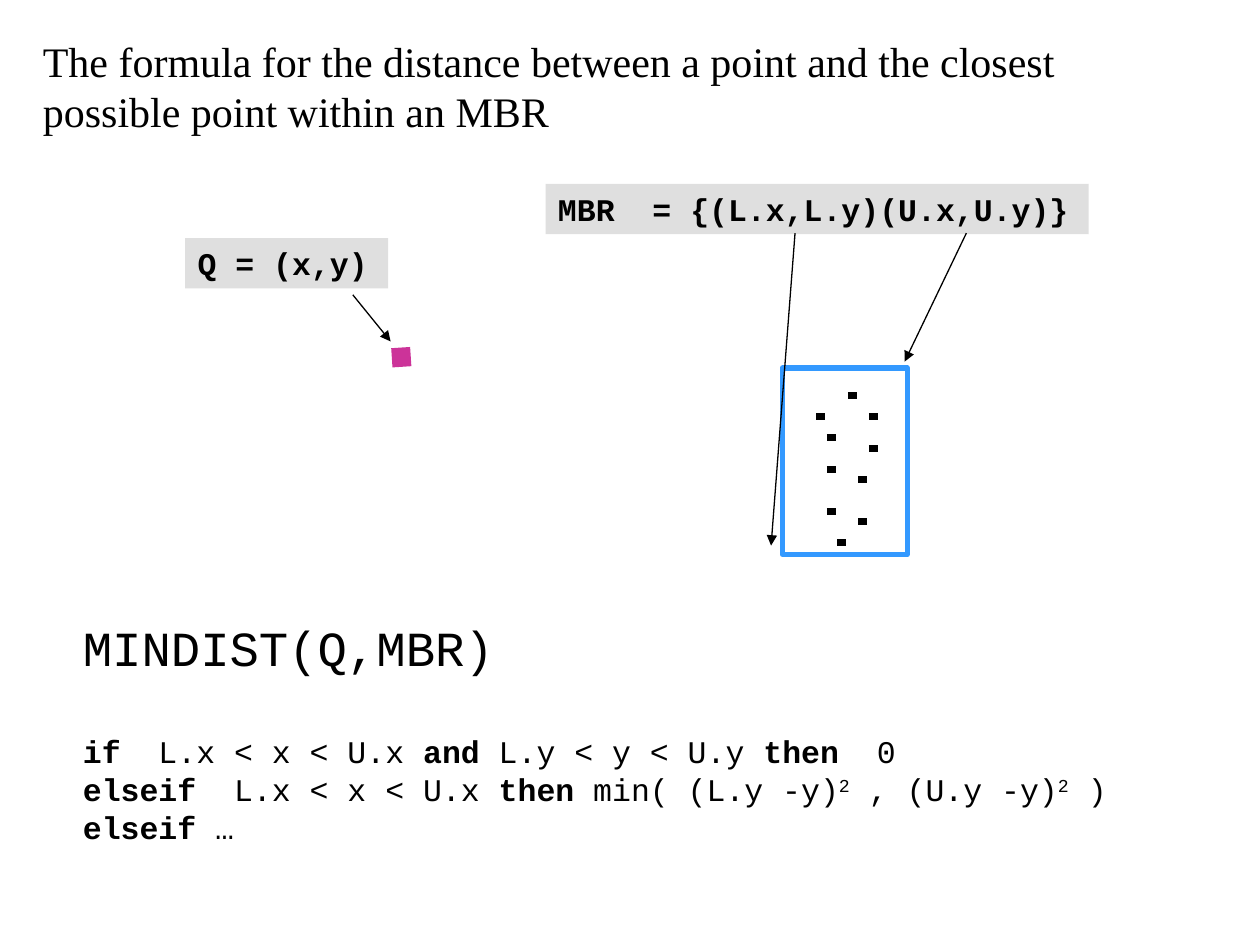
import pptx
import pptx.util
import pptx.dml.color
import pptx.enum.shapes
import pptx.enum.text
import pptx.oxml
import pptx.oxml.ns
import lxml.etree
from dataclasses import dataclass


@dataclass
class Theme:
    serif: str = "Times New Roman"
    mono: str = "Courier New"
    ink: str = "000000"
    blue: str = "3399FF"
    pink: str = "CC3399"
    gray: str = "C0C0C0"
    title: int = 24
    head: int = 28
    code: int = 18


class Board:
    """Draws styled elements on a slide, measured on a grid of 100 columns by 75 rows."""

    def __init__(self, deck, theme):
        self.theme = theme
        self.cell = deck.slide_width / 100
        self.slide = deck.slides.add_slide(deck.slide_layouts[5])

    def grid(self, *vals):
        return [round(v * self.cell) for v in vals]

    def tint(self, name):
        return pptx.dml.color.RGBColor.from_string(name)

    def sub(self, node, tag, **attrs):
        return lxml.etree.SubElement(node, pptx.oxml.ns.qn(tag), attrs)

    def type(self, para, face, size, bold=None):
        font = para.font
        font.name, font.size, font.bold = face, pptx.util.Pt(size), bold
        font.color.rgb = self.tint(self.theme.ink)

    def title(self, text, *area):
        shape = self.slide.shapes.title
        shape.left, shape.top, shape.width, shape.height = self.grid(*area)
        frame = shape.text_frame
        frame.text = text
        frame.word_wrap = True
        frame.auto_size = pptx.enum.text.MSO_AUTO_SIZE.NONE
        frame.vertical_anchor = pptx.enum.text.MSO_ANCHOR.TOP
        para = frame.paragraphs[0]
        para.alignment = pptx.enum.text.PP_ALIGN.LEFT
        self.type(para, self.theme.serif, self.theme.title)

    def rect(self, *area):
        kind = pptx.enum.shapes.MSO_SHAPE.RECTANGLE
        shape = self.slide.shapes.add_shape(kind, *self.grid(*area))
        shape.shadow.inherit = False
        return shape

    def frame(self, *area):
        shape = self.rect(*area)
        shape.fill.background()
        shape.line.color.rgb = self.tint(self.theme.blue)
        shape.line.width = pptx.util.Pt(3)

    def label(self, text, *area):
        shape = self.rect(*area)
        shape.line.fill.background()
        shape.fill.solid()
        shape.fill.fore_color.rgb = self.tint(self.theme.gray)
        color = shape.element.spPr.find(".//" + pptx.oxml.ns.qn("a:srgbClr"))
        self.sub(color, "a:alpha", val="50000")
        shape.text_frame.word_wrap = False
        shape.text_frame.text = text
        para = shape.text_frame.paragraphs[0]
        para.alignment = pptx.enum.text.PP_ALIGN.LEFT
        self.type(para, self.theme.mono, self.theme.code, True)

    def line(self, start, end, color, width, arrow=False):
        kind = pptx.enum.shapes.MSO_CONNECTOR.STRAIGHT
        line = self.slide.shapes.add_connector(kind, *self.grid(*start, *end))
        line.line.color.rgb = self.tint(color)
        line.line.width = pptx.util.Pt(width)
        props = line.element.spPr
        if arrow:
            self.sub(props.find(pptx.oxml.ns.qn("a:ln")), "a:tailEnd", type="triangle")
        self.sub(props, "a:effectLst")

    def arrow(self, start, end):
        self.line(start, end, self.theme.ink, 0.75, True)

    def code(self, head, lines, *area):
        frame = self.slide.shapes.add_textbox(*self.grid(*area)).text_frame
        frame.word_wrap = True
        frame.text = head
        self.type(frame.paragraphs[0], self.theme.mono, self.theme.head)
        for row, parts in enumerate(lines):
            para = frame.add_paragraph()
            if row == 0:
                para.space_before = pptx.util.Pt(32)
            self.type(para, self.theme.mono, self.theme.code)
            for text, style in parts:
                run = para.add_run()
                run.text = text
                if style == "bold":
                    run.font.bold = True
                elif style == "super":
                    run._r.get_or_add_rPr().set("baseline", "30000")


DOTS = [(2, 14), (1, 11), (4, 8), (1, 7), (5, 5),
        (0, 2), (5, 2), (1, 4), (3, 0), (4, 12)]

CODE = [
    [("if  ", "bold"), ("L.x < x < U.x ", ""), ("and ", "bold"),
     ("L.y < y < U.y ", ""), ("then", "bold"), ("  0", "")],
    [("elseif  ", "bold"), ("L.x < x < U.x ", ""), ("then", "bold"),
     (" min( (L.y -y)", ""), ("2", "super"), (" , (U.y -y)", ""),
     ("2", "super"), (" )", "")],
    [("elseif ", "bold"), ("…", "")],
]


def main():
    deck = pptx.Presentation()
    deck.slide_width = pptx.util.Inches(10)
    deck.slide_height = pptx.util.Inches(7.5)
    theme = Theme()
    board = Board(deck, theme)
    board.title("The formula for the distance between a point and the closest "
                "possible point within an MBR", 2.4, 2.3, 91.6, 9)
    step = 10 / 12
    for col, row in DOTS:
        x, y = 64.8 + col * step, 31.4 + row * step
        board.line((x, y), (x + 0.7, y), theme.ink, 4)
    board.frame(62.1, 29.2, 9.9, 14.8)
    board.label("MBR  = {(L.x,L.y)(U.x,U.y)}", 43.3, 14.6, 43.1, 4)
    board.arrow((63.1, 18.5), (61.2, 43.3))
    board.arrow((76.7, 18.5), (71.8, 28.7))
    board.code("MINDIST(Q,MBR)", CODE, 5.6, 48.5, 84.7, 19.5)
    board.label("Q = (x,y)", 14.7, 18.9, 16.1, 4)
    board.line((31.1, 28.4), (32.6, 28.3), theme.pink, 11)
    board.arrow((28, 23.4), (31, 27.1))
    deck.save("out.pptx")


if __name__ == "__main__":
    main()
